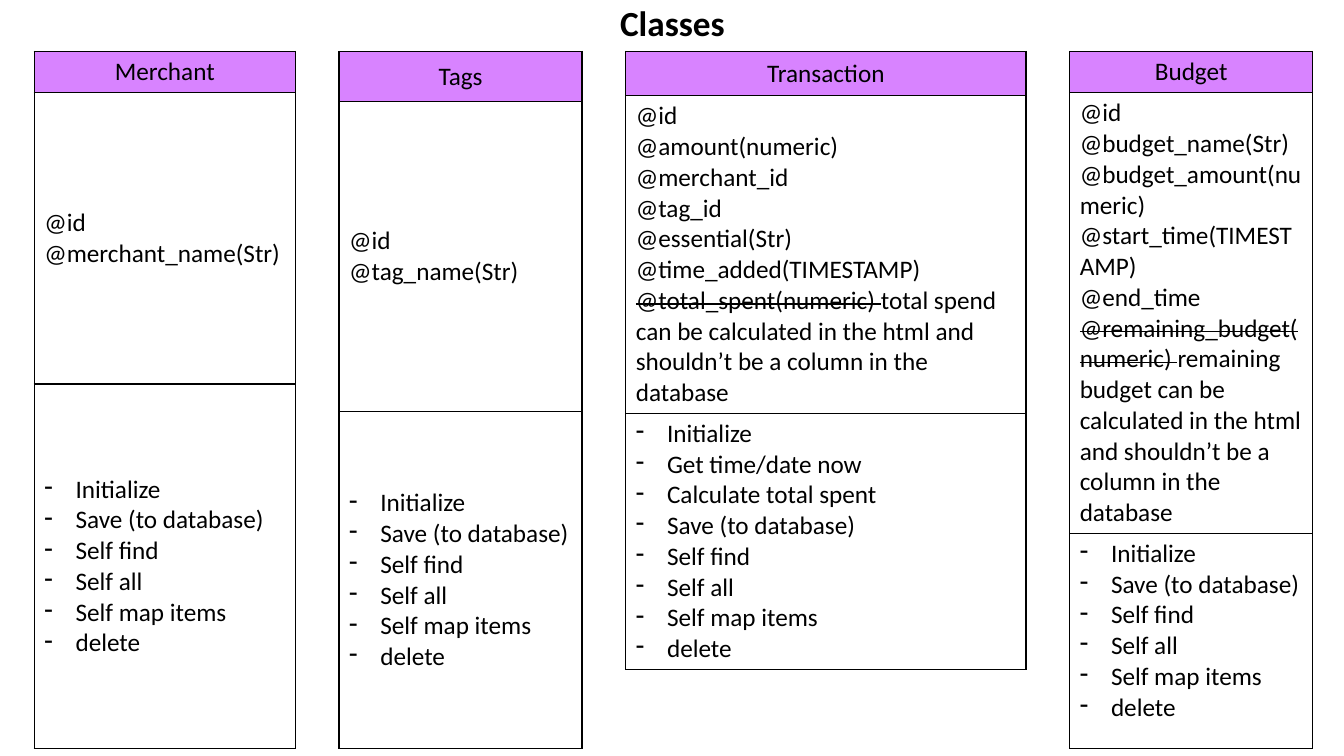
from pptx import Presentation
from pptx.dml.color import RGBColor
from pptx.enum.text import MSO_ANCHOR, PP_ALIGN
from pptx.oxml.ns import qn
from pptx.util import Inches, Pt
from lxml import etree

MIDDLE, TOP = MSO_ANCHOR.MIDDLE, MSO_ANCHOR.TOP
CENTER, LEFT = PP_ALIGN.CENTER, PP_ALIGN.LEFT
BLACK = RGBColor(0x00, 0x00, 0x00)
PURPLE = RGBColor(0xD8, 0x83, 0xFF)
BODY = {"name": "Calibri", "size": Pt(18), "bold": False}
TITLE = {"name": "Calibri", "size": Pt(25.2), "bold": True}
BORDER = Pt(1)
BULLET_INDENT = Inches(0.31)

# The slide is a grid of 100 columns by 100 rows; all positions use it.
SLIDE_W, SLIDE_H = Inches(13.33), Inches(7.5)
FIRST_COL, TABLE_ROW, GAP = 2.55, 6.8, 3.25

SAVED = ["Save (to database)", "Self find", "Self all", "Self map items", "delete"]
METHODS = ["Initialize"] + SAVED
NOTE = " can be calculated in the html and shouldn’t be a column in the database"

# A tuple holds struck text followed by its replacement.
CLASSES = [
    {"name": "Merchant", "cols": 19.43, "rows": (5.47, 38.53, 48.27),
     "anchor": MIDDLE, "methods": METHODS,
     "fields": ["@id", "@merchant_name(Str)"]},
    {"name": "Tags", "cols": 18.08, "rows": (6.67, 40.93, 44.67),
     "anchor": MIDDLE, "methods": METHODS,
     "fields": ["@id", "@tag_name(Str)"]},
    {"name": "Transaction", "cols": 29.78, "rows": (5.87, 42, 33.87),
     "anchor": TOP,
     "methods": ["Initialize", "Get time/date now", "Calculate total spent"] + SAVED,
     "fields": ["@id", "@amount(numeric)", "@merchant_id", "@tag_id",
                "@essential(Str)", "@time_added(TIMESTAMP)",
                ("@total_spent(numeric) ", "total spend" + NOTE)]},
    {"name": "Budget", "cols": 18.08, "rows": (5.47, 58.27, 28.53),
     "anchor": TOP, "methods": METHODS,
     "fields": ["@id", "@budget_name(Str)", "@budget_amount(numeric)",
                "@start_time(TIMESTAMP)", "@end_time",
                ("@remaining_budget(numeric) ", "remaining budget" + NOTE)]},
]


def x(cols):
    """Turn grid columns into a length."""
    return round(SLIDE_W * cols / 100)


def y(rows):
    """Turn grid rows into a length."""
    return round(SLIDE_H * rows / 100)


def add_run(p, text, style, struck=False):
    """Add a formatted run, struck through if asked."""
    r = p.add_run()
    r.text = text
    for key, value in style.items():
        setattr(r.font, key, value)
    r.font.color.rgb = BLACK
    if struck:
        r._r.get_or_add_rPr().set("strike", "sngStrike")


def add_bullet(p):
    """Give a paragraph a dash with a hanging indent."""
    pPr = p._p.get_or_add_pPr()
    pPr.set("marL", str(BULLET_INDENT))
    pPr.set("indent", str(-BULLET_INDENT))
    etree.SubElement(pPr, qn("a:buFontTx"))
    etree.SubElement(pPr, qn("a:buChar"), char="-")


def add_borders(cell):
    """Draw a black line on each side of a cell."""
    tcPr = cell._tc.get_or_add_tcPr()
    for side in ("lnL", "lnR", "lnT", "lnB"):
        ln = etree.SubElement(tcPr, qn("a:" + side), w=str(BORDER))
        fill = etree.SubElement(ln, qn("a:solidFill"))
        etree.SubElement(fill, qn("a:srgbClr"), val=str(BLACK))


def fill_cell(cell, lines, anchor, align=LEFT, color=None, bullets=False):
    """Write lines into a bordered cell."""
    add_borders(cell)
    if color is None:
        cell.fill.background()
    else:
        cell.fill.solid()
        cell.fill.fore_color.rgb = color
    cell.vertical_anchor = anchor
    tf = cell.text_frame
    for i, line in enumerate(lines):
        p = tf.add_paragraph() if i else tf.paragraphs[0]
        p.alignment = align
        if bullets:
            add_bullet(p)
        if isinstance(line, tuple):
            add_run(p, line[0], BODY, struck=True)
            add_run(p, line[1], BODY)
        else:
            add_run(p, line, BODY)


def add_title(s, text, left, top, width, height):
    """Place the centred slide title in a box."""
    tf = s.shapes.add_textbox(x(left), y(top), x(width), y(height)).text_frame
    tf.word_wrap = True
    tf.vertical_anchor = MIDDLE
    p = tf.paragraphs[0]
    p.alignment = CENTER
    p.line_spacing = 0.9
    add_run(p, text, TITLE)


def add_class(s, left, top, item):
    """Place one class table: name, fields and methods."""
    rows = item["rows"]
    table = s.shapes.add_table(len(rows), 1, x(left), y(top),
                               x(item["cols"]), y(sum(rows))).table
    table.first_row = table.horz_banding = False
    for row, height in zip(table.rows, rows):
        row.height = y(height)
    name, fields, methods = (table.cell(i, 0) for i in range(3))
    fill_cell(name, [item["name"]], MIDDLE, CENTER, PURPLE)
    fill_cell(fields, item["fields"], item["anchor"])
    fill_cell(methods, item["methods"], item["anchor"], bullets=True)


def build_slide(prs):
    """Add the slide with its title and a row of class tables."""
    s = prs.slides.add_slide(prs.slide_layouts[6])
    add_title(s, "Classes", 6.9, 0.8, 86.27, 4.93)
    left = FIRST_COL
    for item in CLASSES:
        add_class(s, left, TABLE_ROW, item)
        left += item["cols"] + GAP


prs = Presentation()
prs.slide_width, prs.slide_height = SLIDE_W, SLIDE_H
build_slide(prs)
prs.save("out.pptx")
